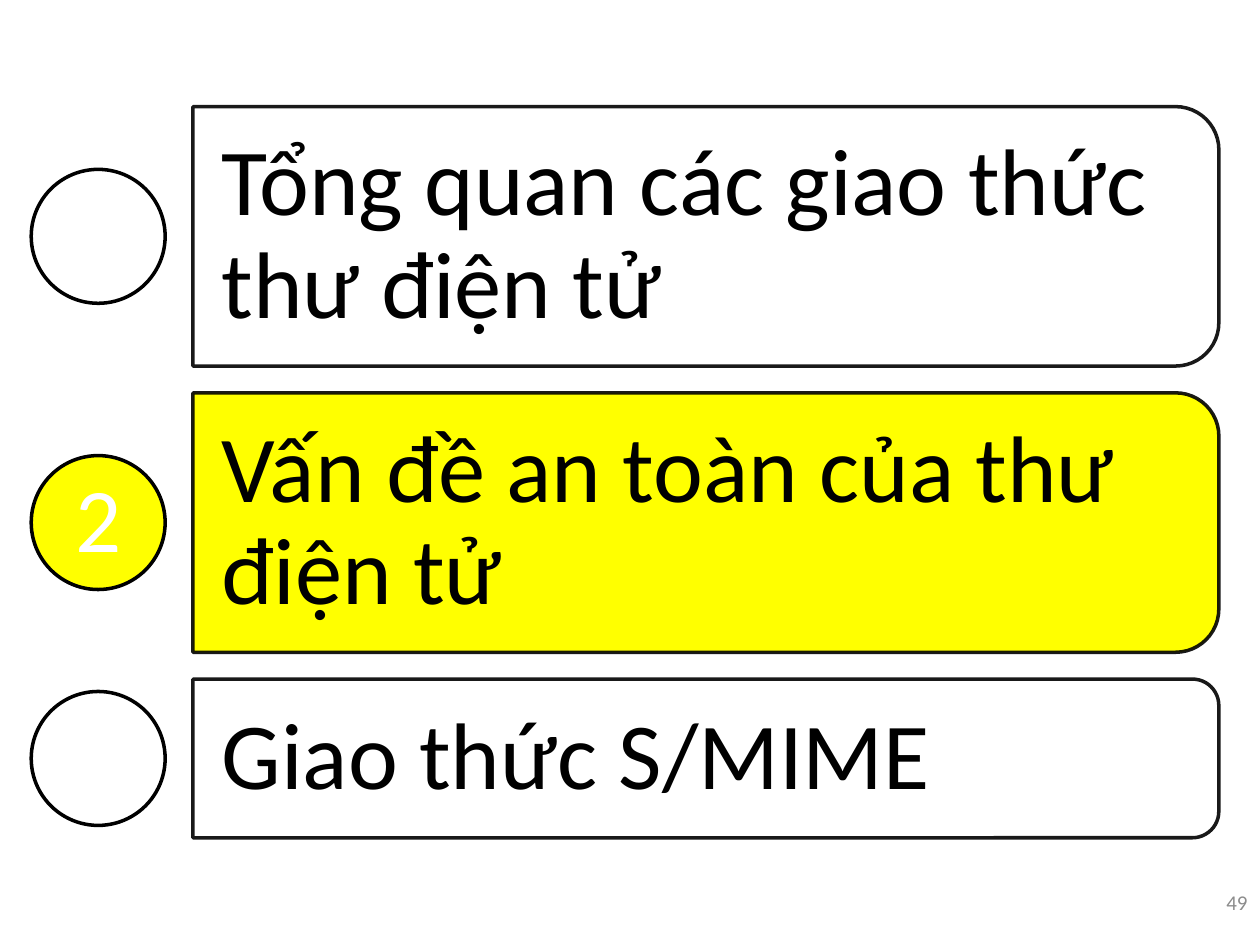
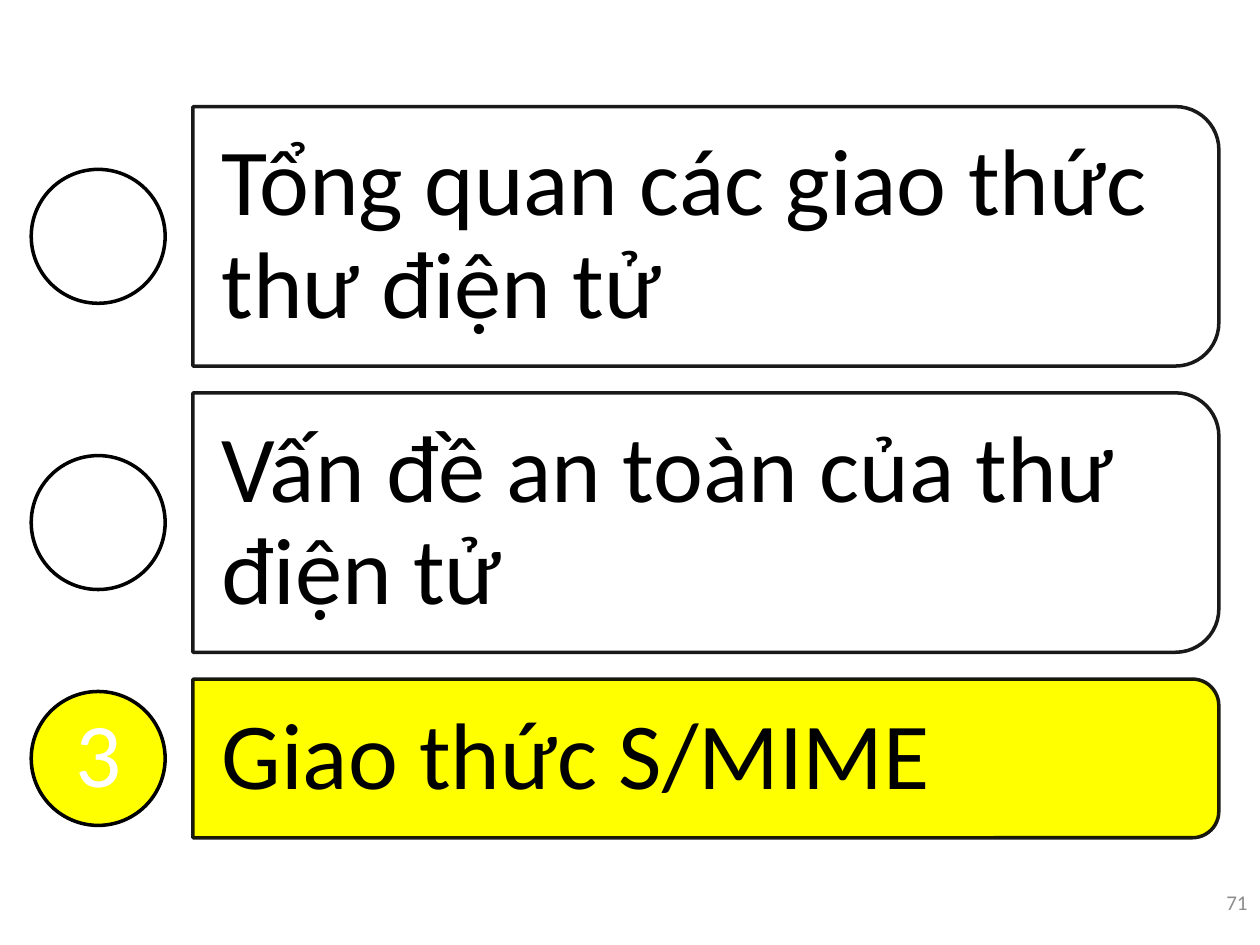
from dataclasses import dataclass

import pptx
import pptx.dml.color
import pptx.enum.shapes
import pptx.enum.text
import pptx.oxml.ns
import pptx.util
from lxml import etree

Cm, Pt = pptx.util.Cm, pptx.util.Pt
Shape = pptx.enum.shapes.MSO_SHAPE
Align = pptx.enum.text.PP_ALIGN
Anchor = pptx.enum.text.MSO_ANCHOR

# Shared look, lengths in cm
INK = {"line": "000000", "text": "000000", "plain": "FFFFFF",
       "active": "FFFF00", "digit": "FFFFFF", "page": "8C8C8C"}
FONT = "Calibri"
TOP, GAP = 2.15, 0.54
LEFT, WIDTH = 3.89, 20.68
DOT, DOT_X = 2.7, 0.63
TRIM = 0.049  # text inset caused by the round corners, per unit of height


@dataclass
class Topic:
    text: str
    height: float


@dataclass
class Page:
    number: int
    active: int


TOPICS = [
    Topic("Tổng quan các giao thức thư điện tử", 5.23),
    Topic("Vấn đề an toàn của thư điện tử", 5.23),
    Topic("Giao thức S/MIME", 3.2),
]
PAGES = [Page(49, 2), Page(71, 3)]


def color(name: str) -> pptx.dml.color.RGBColor:
    return pptx.dml.color.RGBColor.from_string(INK[name])


def fade(fill) -> None:
    """Make a solid fill 90 % opaque."""
    for tone in fill.iter(pptx.oxml.ns.qn("a:srgbClr")):
        etree.SubElement(tone, pptx.oxml.ns.qn("a:alpha"), val="90000")


def paint(shape, fill: str) -> None:
    shape.shadow.inherit = False
    shape.fill.solid()
    shape.fill.fore_color.rgb = color(fill)
    shape.line.color.rgb = color("line")
    shape.line.width = Pt(2)


def write(shape, text: str, size: int, tone: str, align=Align.LEFT,
          space: float = 1.0, inset=(0.25, 0.13)) -> None:
    frame = shape.text_frame
    frame.text = text
    frame.word_wrap = True
    frame.vertical_anchor = Anchor.MIDDLE
    frame.margin_left = frame.margin_right = Cm(inset[0])
    frame.margin_top = frame.margin_bottom = Cm(inset[1])
    line = frame.paragraphs[0]
    line.alignment = align
    line.line_spacing = space
    font = line.runs[0].font
    font.name, font.size = FONT, Pt(size)
    font.color.rgb = color(tone)


def add_bar(slide, topic: Topic, top: float, active: bool) -> None:
    # Upright shape turned a quarter, so its round corners face right
    high = topic.height
    bar = slide.shapes.add_shape(
        Shape.ROUND_2_SAME_RECTANGLE,
        Cm(LEFT + (WIDTH - high) / 2), Cm(top + (high - WIDTH) / 2),
        Cm(high), Cm(WIDTH))
    bar.rotation = 90
    paint(bar, "active" if active else "plain")
    fade(bar.line._ln if active else bar._element.spPr)

    trim = high * TRIM
    box = slide.shapes.add_textbox(
        Cm(LEFT), Cm(top + trim), Cm(WIDTH - trim), Cm(high - 2 * trim))
    write(box, topic.text, 54, "text", space=0.9, inset=(0.58, 0.38))


def add_dot(slide, middle: float, label: str) -> None:
    dot = slide.shapes.add_shape(
        Shape.OVAL, Cm(DOT_X), Cm(middle - DOT / 2), Cm(DOT), Cm(DOT))
    paint(dot, "active" if label else "plain")
    if label:
        write(dot, label, 52, "digit", Align.CENTER, 0.9, (0, 0))


def add_page(deck, page: Page) -> None:
    slide = deck.slides.add_slide(deck.slide_layouts[6])
    # Agenda rows
    top = TOP
    for index, topic in enumerate(TOPICS, 1):
        active = index == page.active
        add_bar(slide, topic, top, active)
        add_dot(slide, top + topic.height / 2, str(index) if active else "")
        top += topic.height + GAP
    # Slide number
    box = slide.shapes.add_textbox(Cm(23.7), Cm(17.32), Cm(1.7), Cm(1.73))
    write(box, str(page.number), 12, "page", Align.RIGHT)


def main() -> None:
    deck = pptx.Presentation()
    deck.slide_width, deck.slide_height = Cm(25.4), Cm(19.05)
    for page in PAGES:
        add_page(deck, page)
    deck.save("out.pptx")


if __name__ == "__main__":
    main()
